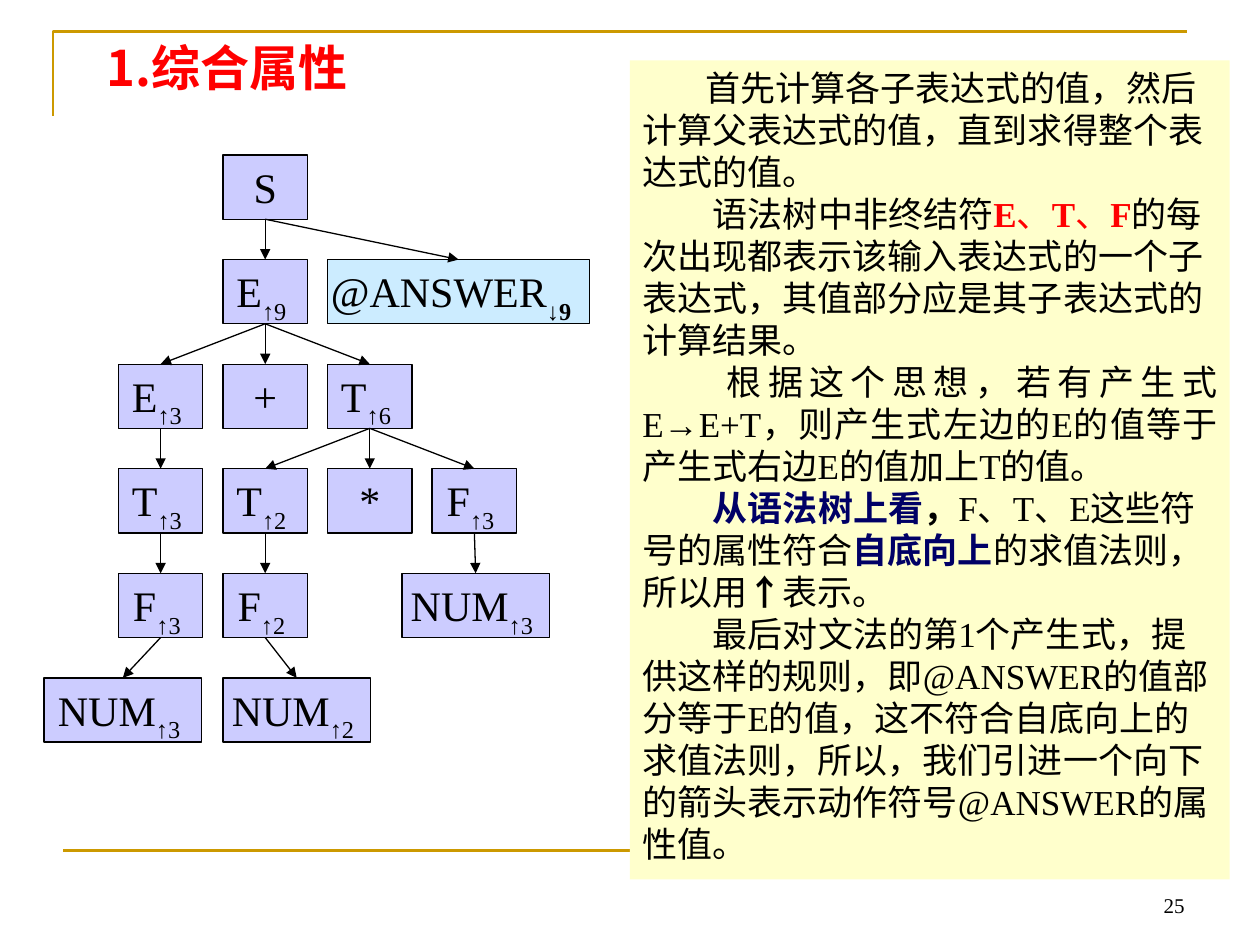
from pptx import Presentation
from pptx.dml.color import RGBColor
from pptx.enum.shapes import MSO_CONNECTOR, MSO_SHAPE
from pptx.enum.text import MSO_ANCHOR, PP_ALIGN
from pptx.oxml.ns import qn
from pptx.util import Inches, Pt

RECTANGLE = MSO_SHAPE.RECTANGLE
STRAIGHT = MSO_CONNECTOR.STRAIGHT
TOP, MIDDLE, BOTTOM = MSO_ANCHOR.TOP, MSO_ANCHOR.MIDDLE, MSO_ANCHOR.BOTTOM
LEFT, CENTER, RIGHT = PP_ALIGN.LEFT, PP_ALIGN.CENTER, PP_ALIGN.RIGHT
JUSTIFY = PP_ALIGN.JUSTIFY
SERIF, SANS = "Times New Roman", "Noto Sans CJK SC"
BLACK, RED, NAVY, GOLD = "000000", "FF0000", "000066", "CC9900"
LILAC, SKY, CREAM = "CCCCFF", "CCECFF", "FFFFCC"
TOP_SIDE, BOTTOM_SIDE = 0, 2


def color(value):
    return RGBColor.from_string(value)


class SlideBuilder:
    """Holds the slide and the style shared by its elements."""

    def __init__(self, slide):
        self.slide = slide
        self.shapes = slide.shapes

    def add_run(self, paragraph, text, size, font=SERIF, tint=BLACK, bold=False, baseline=None):
        run = paragraph.add_run()
        run.text = text
        run.font.name = font
        run.font.size = Pt(size)
        run.font.bold = bold
        run.font.color.rgb = color(tint)
        if baseline:
            run.font._element.set("baseline", str(baseline * 1000))
        if font == SANS:
            east_asian = run.font._element.makeelement(qn("a:ea"), {"typeface": font})
            run.font._element.find(qn("a:latin")).addnext(east_asian)

    def label(self, box, text, align, anchor, **style):
        shape = self.shapes.add_textbox(*map(Inches, box))
        frame = shape.text_frame
        frame.word_wrap = True
        frame.vertical_anchor = anchor
        frame.paragraphs[0].alignment = align
        self.add_run(frame.paragraphs[0], text, **style)

    def rectangle(self, box, fill, outline=None):
        shape = self.shapes.add_shape(RECTANGLE, *map(Inches, box))
        shape.shadow.inherit = False
        shape.fill.solid()
        shape.fill.fore_color.rgb = color(fill)
        if outline:
            shape.line.color.rgb = color(outline)
            shape.line.width = Pt(0.75)
        else:
            shape.line.fill.background()
        shape.text_frame.word_wrap = True
        shape.text_frame.vertical_anchor = TOP
        return shape

    def node(self, box, symbol, value="", fill=LILAC, right_inset=0.06):
        """Draw a tree node: a symbol with its attribute value as a subscript."""
        shape = self.rectangle(box, fill, BLACK)
        frame = shape.text_frame
        frame.margin_left = 0
        frame.margin_right = Inches(right_inset if value else 0)
        paragraph = frame.paragraphs[0]
        paragraph.alignment = CENTER
        self.add_run(paragraph, symbol, 24)
        if value:
            self.add_run(paragraph, value, 24, bold=value.startswith("↓"), baseline=-30)
        return shape

    def line(self, start, end, tint, width):
        connector = self.shapes.add_connector(STRAIGHT, *map(Inches, start + end))
        connector.line.color.rgb = color(tint)
        connector.line.width = Pt(width)
        properties = connector._element.spPr
        properties.append(properties.makeelement(qn("a:effectLst"), {}))
        return connector

    def arrow(self, parent, child):
        connector = self.line((0, 0), (0, 0), BLACK, 0.75)
        connector.begin_connect(parent, BOTTOM_SIDE)
        connector.end_connect(child, TOP_SIDE)
        outline = connector.line._get_or_add_ln()
        outline.append(outline.makeelement(qn("a:tailEnd"), {"type": "triangle"}))

    def corner(self, points, tint, width):
        builder = self.shapes.build_freeform(*map(Inches, points[0]))
        builder.add_line_segments([tuple(map(Inches, point)) for point in points[1:]], close=False)
        shape = builder.convert_to_shape()
        shape.shadow.inherit = False
        shape.fill.background()
        shape.line.color.rgb = color(tint)
        shape.line.width = Pt(width)

    def explanation(self, box, paragraphs):
        frame = self.rectangle(box, CREAM).text_frame
        for index, (indent, align, runs) in enumerate(paragraphs):
            paragraph = frame.add_paragraph() if index else frame.paragraphs[0]
            paragraph.alignment = align
            paragraph._p.get_or_add_pPr().set("indent", str(Inches(indent)))
            for text, tint, bold in runs:
                self.add_run(paragraph, text, 20, tint=tint, bold=bold)


STEP, NODE_WIDTH, NODE_HEIGHT = 0.83, 0.67, 0.51
FIRST_LEFT, FIRST_TOP = 0.94, 1.23

# name: (column, row, symbol, value)
GRID_NODES = {
    "start": (1, 0, "S", ""),
    "sum": (1, 1, "E", "↑9"),
    "left E": (0, 2, "E", "↑3"),
    "plus": (1, 2, "+", ""),
    "product": (2, 2, "T", "↑6"),
    "left T": (0, 3, "T", "↑3"),
    "middle T": (1, 3, "T", "↑2"),
    "times": (2, 3, "*", ""),
    "right F": (3, 3, "F", "↑3"),
    "left F": (0, 4, "F", "↑3"),
    "middle F": (1, 4, "F", "↑2"),
}
# name: (left, width, row, symbol, value, fill, right inset)
WIDE_NODES = {
    "answer": (2.6, 2.08, 1, "@ANSWER", "↓9", SKY, 0.12),
    "right NUM": (3.19, 1.17, 4, "NUM", "↑3", LILAC, 0.06),
    "left NUM": (0.35, 1.25, 5, "NUM", "↑3", LILAC, 0.06),
    "middle NUM": (1.77, 1.17, 5, "NUM", "↑2", LILAC, 0.06),
}
CHILDREN = {
    "start": ["sum", "answer"],
    "sum": ["left E", "plus", "product"],
    "product": ["middle T", "times", "right F"],
    "left E": ["left T"],
    "left T": ["left F"],
    "left F": ["left NUM"],
    "middle T": ["middle F"],
    "middle F": ["middle NUM"],
    "right F": ["right NUM"],
}
EXPLANATION = [
    (0.5, LEFT, [("首先计算各子表达式的值，然后计算父表达式的值，直到求得整个表达式的值。", BLACK, False)]),
    (0.56, LEFT, [
        ("语法树中非终结符", BLACK, False),
        ("E", RED, True), ("、", RED, False), ("T", RED, True), ("、", RED, False), ("F", RED, True),
        ("的每次出现都表示该输入表达式的一个子表达式，其值部分应是其子表达式的计算结果。", BLACK, False),
    ]),
    (0.67, JUSTIFY, [
        ("根据这个思想，若有产生式E→E+T，则产生式左边的E的值等于产生式右边E的值加上T的值。", BLACK, False),
    ]),
    (0.56, LEFT, [
        ("从语法树上看", NAVY, True), ("，", BLACK, True),
        ("F、T、E这些符号的属性符合", BLACK, False), ("自底向上", NAVY, True),
        ("的求值法则，所以用", BLACK, False), ("↑", BLACK, True), ("表示。", BLACK, False),
    ]),
    (0.56, LEFT, [
        ("最后对文法的第1个产生式，提供这样的规则，即@ANSWER的值部分等于E的值，这不符合自底向上的求值法则，"
         "所以，我们引进一个向下的箭头表示动作符号@ANSWER的属性值。", BLACK, False),
    ]),
]


def main():
    presentation = Presentation()
    presentation.slide_width, presentation.slide_height = Inches(10), Inches(7.5)
    builder = SlideBuilder(presentation.slides.add_slide(presentation.slide_layouts[6]))

    builder.corner([(0.42, 0.92), (0.42, 0.25), (9.42, 0.25)], GOLD, 1.5)
    builder.line((0.5, 6.75), (9.5, 6.75), GOLD, 1.5)
    builder.label((7.17, 6.83, 2.33, 0.5), "25", RIGHT, BOTTOM, size=12)

    nodes = {}
    for name, (column, row, symbol, value) in GRID_NODES.items():
        box = (FIRST_LEFT + column * STEP, FIRST_TOP + row * STEP, NODE_WIDTH, NODE_HEIGHT)
        nodes[name] = builder.node(box, symbol, value)
    for name, (left, width, row, *content) in WIDE_NODES.items():
        nodes[name] = builder.node((left, FIRST_TOP + row * STEP, width, NODE_HEIGHT), *content)
    for parent, children in CHILDREN.items():
        for child in children:
            builder.arrow(nodes[parent], nodes[child])

    builder.explanation((5, 0.48, 4.76, 6.5), EXPLANATION)
    builder.label((0.75, 0.28, 8.5, 0.5), "1.综合属性", LEFT, MIDDLE,
                  size=28, font=SANS, tint=RED, bold=True)
    presentation.save("out.pptx")


if __name__ == "__main__":
    main()
